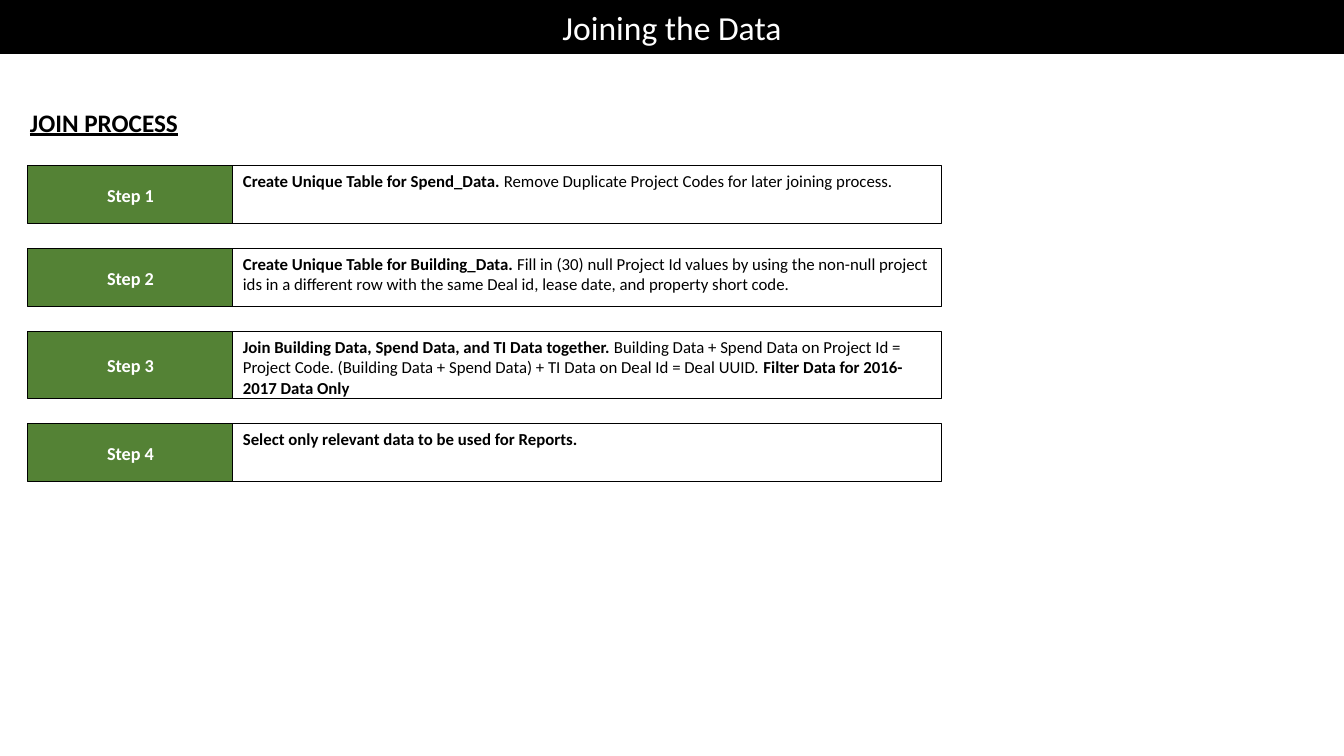
"""Build the slide that lists the four steps of joining the data."""
from pptx import Presentation
from pptx.dml.color import RGBColor
from pptx.enum.shapes import MSO_SHAPE
from pptx.enum.text import MSO_ANCHOR, MSO_AUTO_SIZE, PP_ALIGN
from pptx.util import Emu, Pt

BLACK = RGBColor(0x00, 0x00, 0x00)
WHITE = RGBColor(0xFF, 0xFF, 0xFF)
GREEN = RGBColor(0x54, 0x82, 0x35)
PX_PER_INCH = 100.8

STEP_TOP, STEP_GAP = 166, 25
LABEL_LEFT, LABEL_WIDTH, DETAIL_WIDTH = 28, 205, 709
STEPS = [
    (58, [("Create Unique Table for Spend_Data. ", True),
          ("Remove Duplicate Project Codes for later joining process.", False)]),
    (58, [("Create Unique Table for Building_Data. ", True),
          ("Fill in (30) null Project Id values by using the non-null project ids "
           "in a different row with the same Deal id, lease date, and property short code.", False)]),
    (67, [("Join Building Data, Spend Data, and TI Data together. ", True),
          ("Building Data + Spend Data on Project Id = Project Code. "
           "(Building Data + Spend Data) + TI Data on Deal Id = Deal UUID. ", False),
          ("Filter Data for 2016-2017 Data Only", True)]),
    (58, [("Select only relevant data to be used for Reports.", True)]),
]


def px(length):
    return Emu(round(length * 914400 / PX_PER_INCH))


def write(box, spans, size, color, align, anchor):
    frame = box.text_frame
    frame.vertical_anchor = anchor
    para = frame.paragraphs[0]
    para.alignment = align
    for text, bold in spans:
        span = para.add_run()
        span.text = text
        span.font.name = "Calibri"
        span.font.size = Pt(size)
        span.font.bold = bold
        span.font.color.rgb = color


deck = Presentation()
deck.slide_width, deck.slide_height = px(1344), px(756)
page = deck.slides.add_slide(deck.slide_layouts[5])

title = page.shapes.title
title.left, title.top, title.width, title.height = px(0), px(0), px(1344), px(54)
title.fill.solid()
title.fill.fore_color.rgb = BLACK
title.text_frame.auto_size = MSO_AUTO_SIZE.NONE
write(title, [("Joining the Data", False)], 24, WHITE, PP_ALIGN.CENTER, MSO_ANCHOR.MIDDLE)

heading = page.shapes.add_textbox(px(20), px(102), px(169), px(40))
heading.text_frame.word_wrap = False
heading.text_frame.auto_size = MSO_AUTO_SIZE.SHAPE_TO_FIT_TEXT
write(heading, [("JOIN PROCESS", True)], 18, BLACK, PP_ALIGN.LEFT, MSO_ANCHOR.TOP)
heading.text_frame.paragraphs[0].runs[0].font.underline = True

top = STEP_TOP
for number, (height, detail) in enumerate(STEPS, start=1):
    cells = [
        (LABEL_LEFT, LABEL_WIDTH, GREEN, [(f"Step {number}", True)],
         13, WHITE, PP_ALIGN.CENTER, MSO_ANCHOR.MIDDLE),
        (LABEL_LEFT + LABEL_WIDTH, DETAIL_WIDTH, WHITE, detail,
         12, BLACK, PP_ALIGN.LEFT, MSO_ANCHOR.TOP),
    ]
    for left, width, fill, spans, size, color, align, anchor in cells:
        box = page.shapes.add_shape(MSO_SHAPE.RECTANGLE, px(left), px(top), px(width), px(height))
        box.shadow.inherit = False
        box.fill.solid()
        box.fill.fore_color.rgb = fill
        box.line.color.rgb = BLACK
        box.line.width = Pt(0.75)
        box.text_frame.word_wrap = True
        write(box, spans, size, color, align, anchor)
    top += height + STEP_GAP

deck.save("out.pptx")
